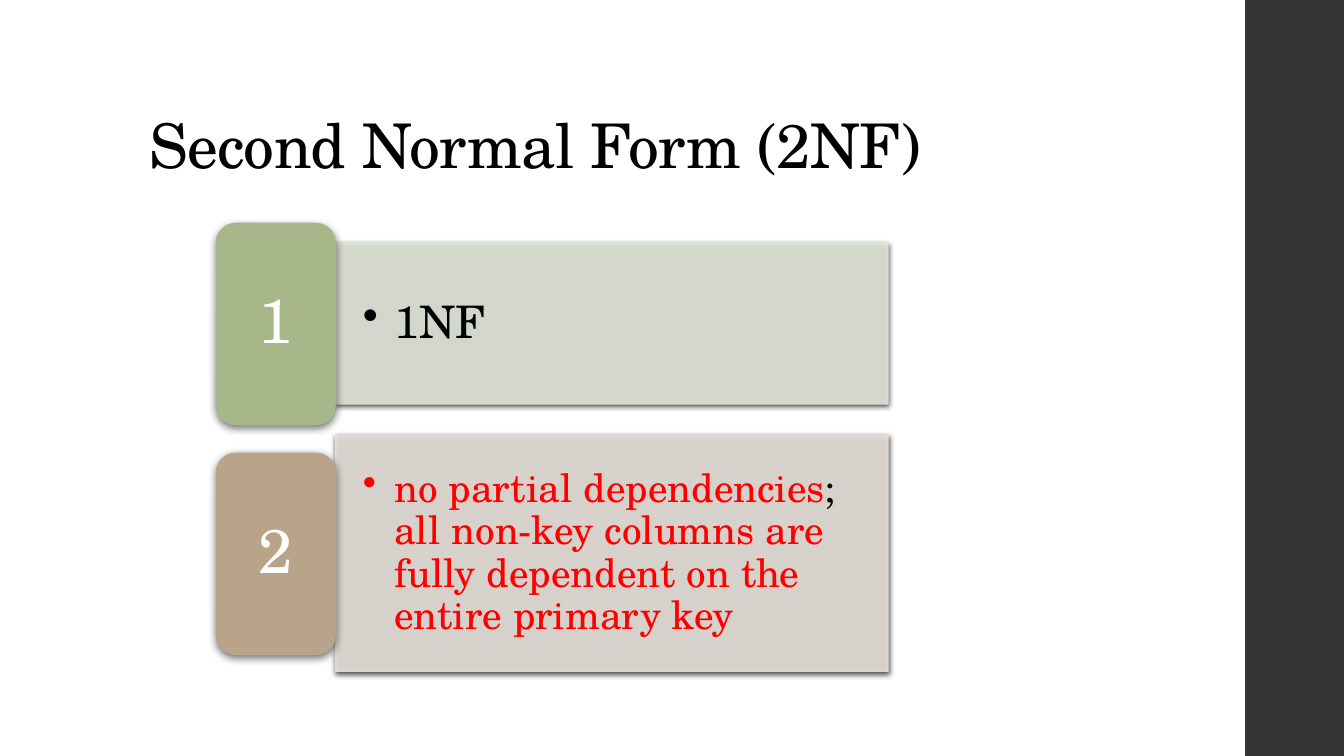
from dataclasses import dataclass

from lxml import etree
from pptx import Presentation
from pptx.dml.color import RGBColor
from pptx.enum.shapes import MSO_SHAPE
from pptx.enum.text import MSO_ANCHOR, PP_ALIGN
from pptx.oxml.ns import qn
from pptx.util import Pt

# Content: number, panel height, text size, runs of (text, colour name)
TITLE = "Second Normal Form (2NF)"
RULES = [
    ("1", 160, 32, [("1NF", "ink")]),
    ("2", 234, 28, [
        ("no partial dependencies", "accent"),
        ("; ", "ink"),
        ("all non-key columns are fully dependent on the entire primary key", "accent"),
    ]),
]


@dataclass(frozen=True)
class Theme:
    font: str = "TeX Gyre Schola"
    ink: str = "000000"
    accent: str = "FF0000"
    light: str = "FFFFFF"
    sidebar: str = "353537"
    badges: tuple = ("A7B789", "B9A489")
    panels: tuple = ("E1E6DA", "E6E0DA")
    heading: int = 44


THEME = Theme()

# Layout in px, 100 to the inch
SCALE = 9144
PAGE_WIDTH, PAGE_HEIGHT = 1333, 750
FIRST_CENTER, ROW_PITCH = 321, 228
BADGE_LEFT, BADGE_WIDTH, BADGE_HEIGHT = 214, 119, 201
PANEL_LEFT, PANEL_WIDTH = BADGE_LEFT + BADGE_WIDTH, 548
BULLET_INDENT = 31


def px(*lengths):
    return [length * SCALE for length in lengths]


def add_box(page, kind, place, color):
    box = page.shapes.add_shape(kind, *px(*place))
    box.shadow.inherit = False
    box.fill.solid()
    box.fill.fore_color.rgb = RGBColor.from_string(color)
    box.line.fill.background()
    return box


def add_alpha(color_node, percent):
    etree.SubElement(color_node, qn("a:alpha"), val=str(percent * 1000))


def add_shadow(box, opacity, blur, distance):
    effects = box._element.spPr.find(qn("a:effectLst"))
    shadow = etree.SubElement(
        effects, qn("a:outerShdw"), blurRad=str(Pt(blur)), dist=str(Pt(distance)),
        dir="5400000", algn="ctr", rotWithShape="0")
    add_alpha(etree.SubElement(shadow, qn("a:srgbClr"), val=THEME.ink), opacity)


def write(box, runs, size, anchor=MSO_ANCHOR.MIDDLE, align=PP_ALIGN.LEFT,
          insets=(10, 5), bullet=False, spacing=0):
    frame = box.text_frame
    frame.word_wrap = True
    frame.vertical_anchor = anchor
    frame.margin_left = frame.margin_right = insets[0] * SCALE
    frame.margin_top = frame.margin_bottom = insets[1] * SCALE
    para = frame.paragraphs[0]
    para.alignment = align
    para.line_spacing = 0.9
    for text, color in runs:
        span = para.add_run()
        span.text = text
        span.font.name = THEME.font
        span.font.size = Pt(size)
        span.font.color.rgb = RGBColor.from_string(getattr(THEME, color))
        if spacing:
            span.font._element.set("spc", str(spacing))
    if bullet:
        props = para._p.get_or_add_pPr()
        props.set("marL", str(BULLET_INDENT * SCALE))
        props.set("indent", str(-BULLET_INDENT * SCALE))
        etree.SubElement(props, qn("a:buChar"), char="•")


def add_panel(page, place, color, runs, size):
    panel = add_box(page, MSO_SHAPE.RECTANGLE, place, color)
    panel.line.color.rgb = RGBColor.from_string(color)
    panel.line.width = Pt(0.75)
    for color_node in list(panel._element.spPr.iter(qn("a:srgbClr"))):
        add_alpha(color_node, 90)
    add_shadow(panel, 75, 4, 1.2)
    write(panel, runs, size, insets=(27, 14), bullet=True)


def add_badge(page, place, color, number):
    badge = add_box(page, MSO_SHAPE.ROUNDED_RECTANGLE, place, color)
    add_shadow(badge, 55, 6, 2)
    write(badge, [(number, "light")], THEME.heading, align=PP_ALIGN.CENTER,
          insets=(18, 9))


def main():
    deck = Presentation()
    deck.slide_width, deck.slide_height = px(PAGE_WIDTH, PAGE_HEIGHT)
    page = deck.slides.add_slide(deck.slide_layouts[6])

    # Sidebar and title
    add_box(page, MSO_SHAPE.RECTANGLE, (1235, 0, PAGE_WIDTH - 1235, PAGE_HEIGHT),
            THEME.sidebar)
    title = page.shapes.add_textbox(*px(138, 40, 1060, 145))
    write(title, [(TITLE, "ink")], THEME.heading, anchor=MSO_ANCHOR.BOTTOM, spacing=-50)

    # Numbered rules: panel and badge share a centre line
    for index, (number, height, size, runs) in enumerate(RULES):
        center = FIRST_CENTER + index * ROW_PITCH
        add_panel(page, (PANEL_LEFT, center - height // 2, PANEL_WIDTH, height),
                  THEME.panels[index], runs, size)
        add_badge(page, (BADGE_LEFT, center - BADGE_HEIGHT // 2, BADGE_WIDTH, BADGE_HEIGHT),
                  THEME.badges[index], number)

    deck.save("out.pptx")


if __name__ == "__main__":
    main()
